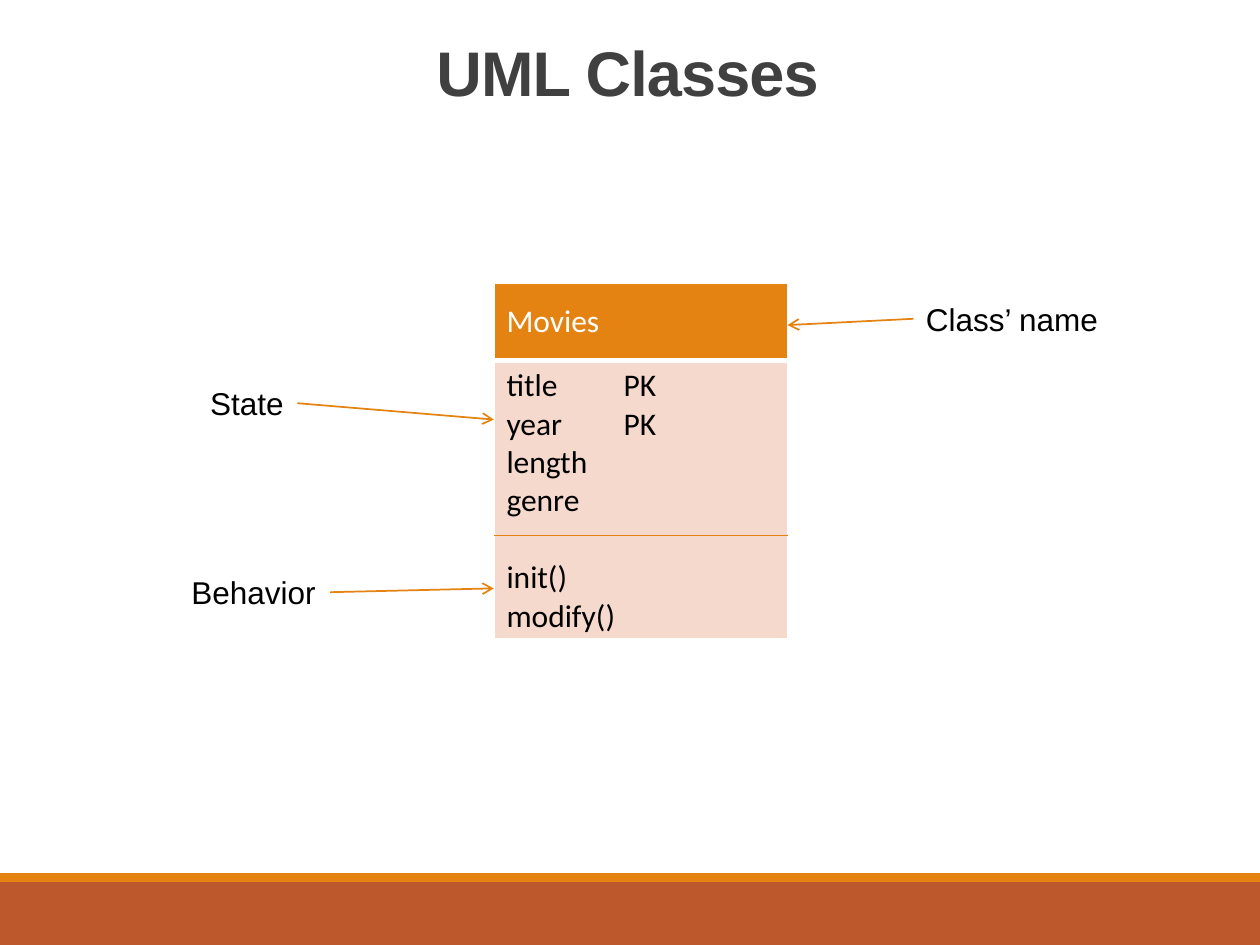
from lxml import etree
from pptx import Presentation
from pptx.dml.color import RGBColor
from pptx.enum.shapes import MSO_CONNECTOR, MSO_SHAPE
from pptx.enum.text import MSO_ANCHOR, MSO_AUTO_SIZE, PP_ALIGN
from pptx.oxml.ns import qn
from pptx.util import Inches, Pt

LINE = MSO_CONNECTOR.STRAIGHT
RECT = MSO_SHAPE.RECTANGLE
MIDDLE = MSO_ANCHOR.MIDDLE
CENTER = PP_ALIGN.CENTER
GROW = MSO_AUTO_SIZE.SHAPE_TO_FIT_TEXT
LEFT, RIGHT = 1, 3

HEX = {
    "rust": "BD582C",
    "orange": "E48312",
    "blush": "F5D9CC",
    "gray": "404040",
    "black": "000000",
    "white": "FFFFFF",
}


def color(name):
    return RGBColor.from_string(HEX[name])


def add_run(para, text, size, face, tint, bold=False):
    run = para.add_run()
    run.text = text
    font = run.font
    font.size, font.name, font.bold = Pt(size), face, bold
    font.color.rgb = color(tint)
    return run


def add_band(slide, box, tint):
    band = slide.shapes.add_shape(RECT, *map(Inches, box))
    band.shadow.inherit = False
    band.fill.solid()
    band.fill.fore_color.rgb = color(tint)
    band.line.fill.background()


def add_title(slide, box, text):
    frame = slide.shapes.add_textbox(*map(Inches, box)).text_frame
    frame.word_wrap = True
    para = frame.paragraphs[0]
    para.alignment = CENTER
    para.line_spacing = 0.85
    run = add_run(para, text, 36, "Arial", "gray", True)
    run.font._element.set("spc", "-50")


def add_label(slide, box, text):
    label = slide.shapes.add_textbox(*map(Inches, box))
    frame = label.text_frame
    frame.word_wrap = False
    frame.auto_size = GROW
    add_run(frame.paragraphs[0], text, 18, "Arial", "black")
    return label


def add_line(slide, start, end):
    line = slide.shapes.add_connector(LINE, *map(Inches, start + end))
    line.line.color.rgb = color("orange")
    line.line.width = Pt(1)
    etree.SubElement(line._element.spPr, qn("a:effectLst"))
    return line


def add_note(slide, box, text, side, end):
    label = add_label(slide, box, text)
    arrow = add_line(slide, box[:2], end)
    arrow.begin_connect(label, side)
    etree.SubElement(arrow.line._get_or_add_ln(), qn("a:tailEnd"), type="arrow")


def set_cell(cell, tint, base):
    props = cell._tc.get_or_add_tcPr()
    for side, width in (("L", 1), ("R", 1), ("T", 1), ("B", base)):
        edge = etree.SubElement(props, qn("a:ln" + side), w=str(Pt(width)))
        fill = etree.SubElement(edge, qn("a:solidFill"))
        etree.SubElement(fill, qn("a:srgbClr"), val=HEX["white"])
    cell.fill.solid()
    cell.fill.fore_color.rgb = color(tint)


def set_tab(para, place):
    props = para._p.get_or_add_pPr()
    tabs = etree.SubElement(props, qn("a:tabLst"))
    etree.SubElement(tabs, qn("a:tab"), pos=str(Inches(place)), algn="l")


def add_class(slide, box, name, fields, methods):
    left, top, width, height = box
    head = 0.61
    table = slide.shapes.add_table(2, 1, *map(Inches, box)).table
    table.columns[0].width = Inches(width)
    table.rows[0].height = Inches(head)
    table.rows[1].height = Inches(height - head)

    cell = table.cell(0, 0)
    set_cell(cell, "orange", 3)
    cell.vertical_anchor = MIDDLE
    add_run(cell.text_frame.paragraphs[0], name, 18, "Calibri", "white")

    cell = table.cell(1, 0)
    set_cell(cell, "blush", 1)
    frame = cell.text_frame
    for i, text in enumerate(fields + methods):
        para = frame.add_paragraph() if i else frame.paragraphs[0]
        if i == len(fields):
            para.space_before = Pt(22)
        if "\t" in text:
            set_tab(para, 0.93)
        add_run(para, text, 18, "Calibri", "black")

    split = top + 2
    add_line(slide, (left, split), (left + width, split))


def main():
    deck = Presentation()
    deck.slide_width, deck.slide_height = Inches(10), Inches(7.5)
    slide = deck.slides.add_slide(deck.slide_layouts[6])

    add_band(slide, (0, 7, 10, 0.5), "rust")
    add_band(slide, (0, 6.93, 10, 0.07), "orange")
    add_title(slide, (0.64, 0.31, 8.68, 1.16), "UML Classes")

    left, top, width, height = box = (3.92, 2.25, 2.33, 2.81)
    add_class(slide, box, "Movies",
              ["title\tPK", "year\tPK", "length", "genre"],
              ["init()", "modify()"])
    add_note(slide, (7.25, 2.33, 1.58, 0.4), "Class’ name", LEFT, (left + width, 2.58))
    add_note(slide, (1.57, 3, 0.79, 0.4), "State", RIGHT, (left, 3.33))
    add_note(slide, (1.42, 4.5, 1.2, 0.4), "Behavior", RIGHT, (left, 4.67))
    deck.save("out.pptx")


if __name__ == "__main__":
    main()
